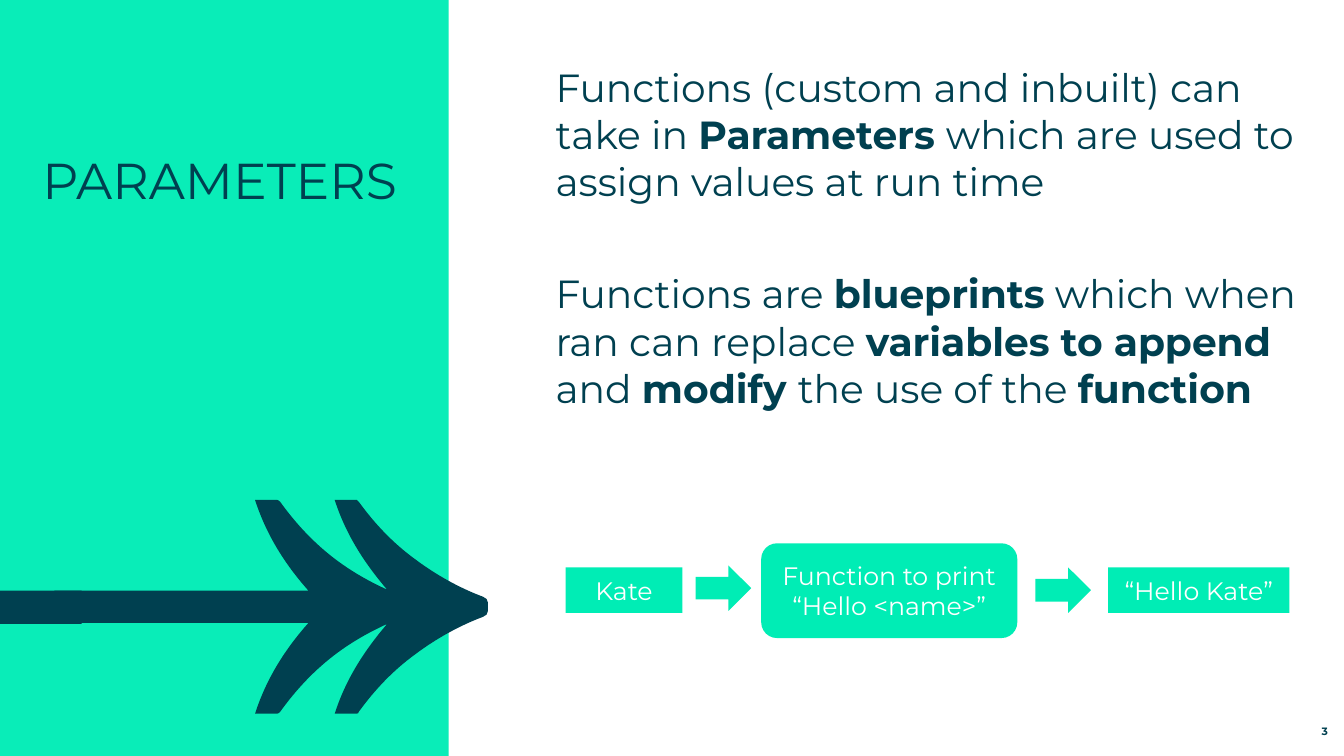
from dataclasses import dataclass

from lxml.etree import SubElement
from pptx import Presentation
from pptx.dml.color import RGBColor
from pptx.enum.shapes import MSO_SHAPE as Preset
from pptx.enum.text import MSO_ANCHOR as Anchor, MSO_AUTO_SIZE as AutoSize, PP_ALIGN as Align
from pptx.oxml.ns import qn
from pptx.util import Inches, Pt


@dataclass(frozen=True)
class Theme:
    font: str = "Montserrat"
    panel: RGBColor = RGBColor(0x09, 0xED, 0xB8)
    step: RGBColor = RGBColor(0x00, 0xED, 0xB5)
    dark: RGBColor = RGBColor(0x00, 0x40, 0x50)
    white: RGBColor = RGBColor(0xFF, 0xFF, 0xFF)
    title: float = 36
    body: float = 28
    label: float = 18
    number: float = 7.6


theme = Theme()


def write(shape, text, size, color=theme.dark, align=Align.LEFT,
          anchor=Anchor.TOP, inset=(0, 0), bold=False, gap=0):
    """One paragraph per line of text; **marked** words are bold."""
    frame = shape.text_frame
    frame.word_wrap = True
    frame.auto_size = AutoSize.NONE
    frame.vertical_anchor = anchor
    frame.margin_left = frame.margin_right = Inches(inset[0])
    frame.margin_top = frame.margin_bottom = Inches(inset[1])
    for index, line in enumerate(text.split("\n")):
        paragraph = frame.add_paragraph() if index else frame.paragraphs[0]
        paragraph.alignment = align
        paragraph.line_spacing = 1.0
        paragraph.space_before = Pt(0)
        paragraph.space_after = Pt(gap)
        properties = paragraph._p.get_or_add_pPr()
        properties.set("marL", "0")
        properties.set("indent", "0")
        SubElement(properties, qn("a:buNone"))
        for part, words in enumerate(line.split("**")):
            if words:
                run = paragraph.add_run()
                run.text = words
                run.font.name = theme.font
                run.font.size = Pt(size)
                run.font.color.rgb = color
                run.font.bold = bold or part % 2 == 1


def paint(shape, color):
    shape.shadow.inherit = False
    shape.fill.solid()
    shape.fill.fore_color.rgb = color
    shape.line.fill.background()


deck = Presentation()
deck.slide_width, deck.slide_height = Inches(13.33), Inches(7.5)
slide = deck.slides.add_slide(deck.slide_layouts[1])
shapes = slide.shapes

# Green side panel with its accent bar, and the tail of the big arrow
for left, top, width, height, color in [
    (0, 0, 4.45, 7.5, theme.panel),
    (0.83, 0.84, 0.42, 0.12, theme.panel),
    (0, 5.86, 0.81, 0.33, theme.dark),
]:
    band = shapes.add_shape(Preset.RECTANGLE, Inches(left), Inches(top),
                            Inches(width), Inches(height))
    paint(band, color)

# Big arrow: corners of the upper edge, each with the two handles of the curve
# that leads to it (none for a straight line), mirrored below the axis
axis = 6.02
upper_edge = [
    ((0.54, 5.86), ()),
    ((3.06, 5.86), ()),
    ((2.53, 4.96), ((2.82, 5.59), (2.64, 5.30))),
    ((2.75, 4.96), ()),
    ((2.78, 4.98), ((2.76, 4.96), (2.77, 4.97))),
    ((3.24, 5.48), ((2.91, 5.16), (3.06, 5.33))),
    ((3.84, 5.85), ((3.42, 5.63), (3.62, 5.75))),
    ((3.32, 4.96), ((3.61, 5.58), (3.43, 5.30))),
    ((3.54, 4.96), ()),
    ((3.56, 4.98), ((3.55, 4.96), (3.56, 4.97))),
    ((4.12, 5.55), ((3.72, 5.20), (3.90, 5.39))),
    ((4.79, 5.92), ((4.32, 5.70), (4.55, 5.83))),
    ((4.84, 5.98), ((4.82, 5.93), (4.84, 5.95))),
]
corners = [corner for corner, _ in upper_edge]
handles = [pair for _, pair in upper_edge[1:]]
corners += [(x, 2 * axis - y) for x, y in reversed(corners)]
handles += [()] + [tuple((x, 2 * axis - y) for x, y in reversed(pair))
                   for pair in reversed(handles)]
outline = [(Inches(x), Inches(y)) for x, y in corners]
builder = shapes.build_freeform(*outline[0])
builder.add_line_segments(outline[1:], close=True)
arrow = builder.convert_to_shape()
paint(arrow, theme.dark)
for segment, pair in zip(list(arrow.element.iter(qn("a:lnTo"))), handles):
    if pair:
        curve = segment.makeelement(qn("a:cubicBezTo"))
        for x, y in pair:
            SubElement(curve, qn("a:pt"), x=str(Inches(x) - arrow.left),
                       y=str(Inches(y) - arrow.top))
        segment.getparent().replace(segment, curve)
        curve.append(segment[0])

# Title and explanation, brought in front of the panel
heading, explanation = shapes.title, slide.placeholders[1]
for holder, left, top, width, height in [
    (heading, 0.42, 1.48, 3.77, 3.01),
    (explanation, 5.51, 0.63, 7.4, 5.6),
]:
    holder.left, holder.top = Inches(left), Inches(top)
    holder.width, holder.height = Inches(width), Inches(height)
    shapes.element.append(holder.element)
write(heading, "PARAMETERS", size=theme.title)
write(explanation,
      "Functions (custom and inbuilt) can take in **Parameters **"
      "which are used to assign values at run time\n"
      "Functions are **blueprints** which when ran can replace "
      "**variables to append **and **modify **the use of the **function**",
      size=theme.body, gap=46.5)

# Slide number
number = shapes.add_textbox(Inches(12.31), Inches(7.12), Inches(0.86), Inches(0.2))
write(number, "3", size=theme.number, align=Align.RIGHT, anchor=Anchor.BOTTOM, bold=True)

# Flow: argument, function, result
for preset, left, top, width, height, label in [
    (Preset.RECTANGLE, 5.61, 5.63, 1.16, 0.45, "Kate"),
    (Preset.RIGHT_ARROW, 6.9, 5.61, 0.55, 0.45, ""),
    (Preset.FLOWCHART_ALTERNATE_PROCESS, 7.55, 5.39, 2.54, 0.94,
     "Function to print “Hello <name>”"),
    (Preset.RIGHT_ARROW, 10.27, 5.63, 0.55, 0.45, ""),
    (Preset.RECTANGLE, 10.99, 5.63, 1.8, 0.45, "“Hello Kate”"),
]:
    flow_step = shapes.add_shape(preset, Inches(left), Inches(top),
                                 Inches(width), Inches(height))
    paint(flow_step, theme.step)
    if label:
        write(flow_step, label, size=theme.label, color=theme.white,
              align=Align.CENTER, anchor=Anchor.MIDDLE, inset=(0.1, 0.05))

deck.save("out.pptx")
